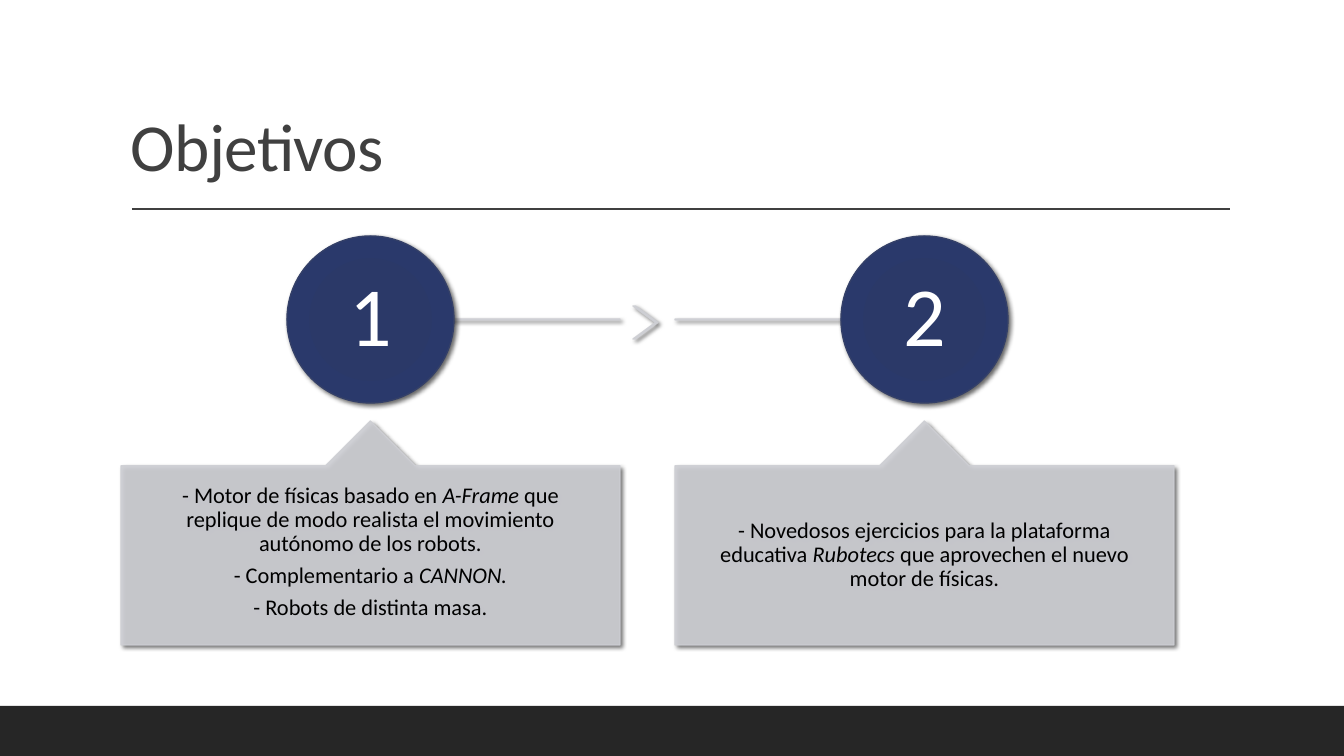
from lxml.etree import SubElement
from pptx import Presentation
from pptx.dml.color import RGBColor
from pptx.enum.shapes import MSO_CONNECTOR, MSO_SHAPE
from pptx.enum.text import MSO_ANCHOR, PP_ALIGN
from pptx.oxml.ns import qn
from pptx.util import Emu, Pt

FONT = "Calibri"
COLORS = {"title": "404040", "foot": "262626", "pale": "CECFD4",
          "edge": "344068", "white": "FFFFFF", "black": "000000"}
BLUES = [(0, "293868"), (34, "2B3968"), (70, "2A396B"), (100, "313F6B")]
TITLE = "Objetivos"
# Each goal holds paragraphs; each paragraph holds (text, italic) runs.
GOALS = [
    (MSO_ANCHOR.TOP, [
        [("- Motor de físicas basado en ", False), ("A-Frame ", True),
         ("que replique de modo realista el movimiento autónomo de los robots.", False)],
        [("- Complementario a ", False), ("CANNON.", True)],
        [("- Robots de distinta masa.", False)]]),
    (MSO_ANCHOR.MIDDLE, [
        [("- Novedosos ejercicios para la plataforma educativa ", False),
         ("Rubotecs ", True),
         ("que aprovechen el nuevo motor de físicas.", False)]]),
]
LEFT, STEP, WIDE = 121, 554, 499
DISC, DISC_TOP = 167, 236
BAR_TOP = 319
BARS = [(398, 222), (675, 250)]


def px(n):
    return Emu(round(n * 914400 / 100.8))


def rgb(name):
    return RGBColor.from_string(COLORS[name])


def node(parent, tag, **attrs):
    return SubElement(parent, qn("a:" + tag), {k: str(v) for k, v in attrs.items()})


def add_form(kind, box, fill, edge=None):
    form = slide.shapes.add_shape(kind, *map(px, box))
    form.shadow.inherit = False
    form.fill.solid()
    form.fill.fore_color.rgb = rgb(fill)
    if edge:
        form.line.color.rgb = rgb(edge)
        form.line.width = Pt(1)
    else:
        form.line.fill.background()
    return form


def add_shade(form, blur):
    fx = form._element.spPr.find(qn("a:effectLst"))
    shade = node(fx, "outerShdw", blurRad=Pt(blur), dist=Pt(2),
                 dir=2700000, algn="tl", rotWithShape=0)
    node(node(shade, "srgbClr", val=COLORS["black"]), "alpha", val=60000)


def add_pale(kind, box):
    """Add a shaded pale shape, its fill and line 90% opaque."""
    form = add_form(kind, box, "pale", "pale")
    for tone in list(form._element.spPr.iter(qn("a:srgbClr"))):
        node(tone, "alpha", val=90000)
    add_shade(form, 3)
    return form


def add_blend(form):
    """Swap the solid fill for a round blend of blues."""
    props = form._element.spPr
    plain = props.find(qn("a:solidFill"))
    blend = node(props, "gradFill", rotWithShape=1)
    props.replace(plain, blend)
    stops = node(blend, "gsLst")
    for pos, tone in BLUES:
        node(node(stops, "gs", pos=pos * 1000), "srgbClr", val=tone)
    way = node(blend, "path", path="circle")
    node(way, "fillToRect", **dict.fromkeys("ltrb", 100000))


def write(shape, paras, size, color, anchor, pad, align=PP_ALIGN.CENTER, gap=0):
    frame = shape.text_frame
    frame.word_wrap = True
    frame.vertical_anchor = anchor
    frame.margin_left = frame.margin_right = px(pad[0])
    frame.margin_top = frame.margin_bottom = px(pad[1])
    for i, runs in enumerate(paras):
        para = frame.add_paragraph() if i else frame.paragraphs[0]
        para.alignment = align
        para.line_spacing = 0.9
        if i:
            para.space_before = Pt(gap)
        for text, slant in runs:
            run = para.add_run()
            run.text = text
            run.font.name = FONT
            run.font.size = Pt(size)
            run.font.italic = slant
            run.font.color.rgb = rgb(color)


deck = Presentation()
deck.slide_width, deck.slide_height = px(1344), px(756)
slide = deck.slides.add_slide(deck.slide_layouts[6])

add_form(MSO_SHAPE.RECTANGLE, (0, 706, 1344, 50), "foot")
rule = slide.shapes.add_connector(MSO_CONNECTOR.STRAIGHT, *map(px, (132, 209, 1230, 209)))
rule.line.color.rgb = rgb("title")
rule.line.width = Pt(1)
node(rule._element.spPr, "effectLst")

title = slide.shapes.add_textbox(*map(px, (LEFT, 31, 1109, 160)))
write(title, [[(TITLE, False)]], 48, "title", MSO_ANCHOR.BOTTOM, (10, 5), PP_ALIGN.LEFT)
title.text_frame.paragraphs[0].runs[0].font._element.set("spc", "-50")

for left, width in BARS:
    add_pale(MSO_SHAPE.RECTANGLE, (left, BAR_TOP, width, 1))
arrow = add_pale(MSO_SHAPE.CHEVRON, (633, 306, 25, 33))
arrow.adjustments[0] = 0.9

for i, (anchor, paras) in enumerate(GOALS):
    left = LEFT + i * STEP
    disc = add_form(MSO_SHAPE.OVAL, (left + (WIDE - DISC) / 2, DISC_TOP, DISC, DISC),
                    "white", "edge")
    add_blend(disc)
    add_shade(disc, 3.5)
    write(disc, [[(str(i + 1), False)]], 60, "white", MSO_ANCHOR.MIDDLE, (7, 7))
    note = add_pale(MSO_SHAPE.UP_ARROW_CALLOUT, (left, 421, WIDE, 224))
    for k, part in enumerate((0.5, 0.2, 0.2, 1)):
        note.adjustments[k] = part
    write(note, paras, 16, "black", anchor, (39, 18), gap=5.6)

deck.save("out.pptx")
